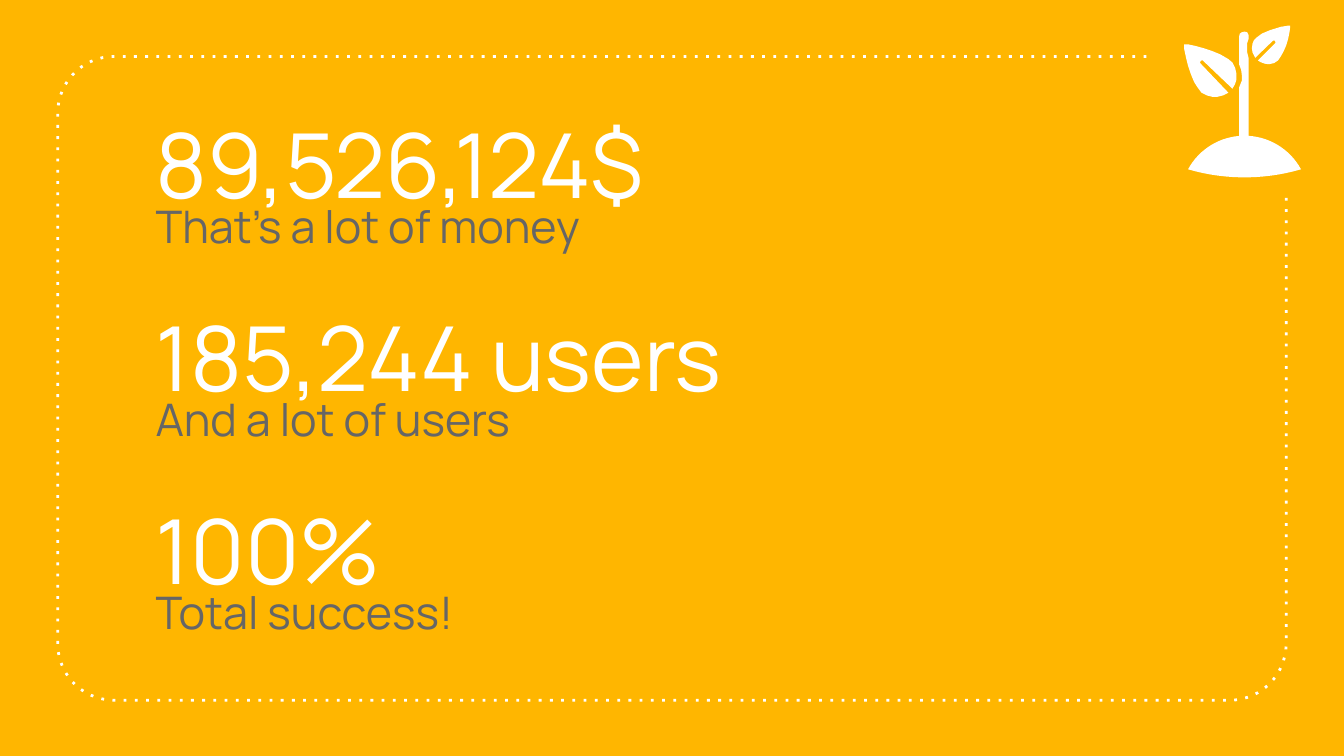
"""Build a slide of three big figures in a dotted frame with a sprout."""
from dataclasses import dataclass
from math import cos, radians, sin

from pptx import Presentation
from pptx.dml.color import RGBColor
from pptx.enum.dml import MSO_LINE
from pptx.oxml.ns import qn
from pptx.shapes.autoshape import Shape
from pptx.slide import Slide
from pptx.util import Inches, Pt

DOT = MSO_LINE.ROUND_DOT
AMBER = RGBColor(0xFF, 0xB6, 0x00)
WHITE = RGBColor(0xFF, 0xFF, 0xFF)
GRAY = RGBColor(0x66, 0x66, 0x66)
FONT = "Manrope"
UNIT = Inches(0.01)
LEFT, TOP, WIDTH = 106, 71, 787
PITCH, DROP = 143.5, 67

Point = tuple[float, float]


@dataclass(frozen=True)
class Fact:
    """A big figure and its caption."""
    value: str
    label: str


@dataclass(frozen=True)
class Arc:
    """Part of a circle, by centre, radius and angles in degrees."""
    x: float
    y: float
    size: float
    start: float
    end: float


FACTS = (
    Fact("89,526,124$", "That’s a lot of money"),
    Fact("185,244 users", "And a lot of users"),
    Fact("100%", "Total success!"),
)
BENDS = (
    Arc(85, 84, 42, 90, 180),
    Arc(85, 479, 42, 180, 270),
    Arc(915, 479, 42, 270, 360),
)
MOUND = (
    Arc(926, 148.8, 47.8, 94.8, 151.5),
    Arc(926, -18, 150, 253.7, 286.3),
    Arc(926, 148.8, 47.8, 28.5, 86.4),
)
STEM = (
    (929, 101), (929, 43), (928, 39), (928, 32), (929, 29), (929, 26),
    (928, 24), (926, 23.5), (924, 24), (922.5, 25), (922, 27), (922, 48),
    (923.5, 52), (924, 56), (924, 60), (922, 65), (922, 101),
)
SMALL = (
    (959, 19), (953, 20), (945, 22.5), (939, 25), (935, 28), (933, 30),
    (932, 32.5), (931.5, 36), (932, 39), (934, 43), (947, 30.5), (948, 30),
    (949, 31), (949, 32), (936, 45), (938, 46.3), (941, 47.4), (944, 47.8),
    (948, 47), (951, 45), (953, 42), (955, 38.5), (957, 34), (958.5, 29),
    (959.5, 24), (960, 20), (960, 19),
)
LARGE = (
    (881, 33), (881, 36), (882.5, 43), (884, 49), (886, 55), (888.5, 61),
    (891, 65), (894, 69), (898, 71), (902, 72), (906, 72), (910, 71),
    (914, 69), (894, 48), (893, 47), (893, 46), (894, 45), (895, 45),
    (896, 46), (917, 66), (919, 62.5), (920, 59), (920, 55), (919, 50.5),
    (917, 46.5), (914, 44), (908, 40.5), (902, 38), (896, 36), (890, 34.3),
    (884, 33),
)


def curve(arc: Arc) -> list[Point]:
    """Return even points along an arc."""
    step = (arc.end - arc.start) / 15
    turns = (radians(arc.start + step * i) for i in range(16))
    return [(arc.x + arc.size * cos(t), arc.y - arc.size * sin(t))
            for t in turns]


def chain(arcs: tuple[Arc, ...]) -> list[Point]:
    """Join the points of several arcs."""
    return [point for arc in arcs for point in curve(arc)]


def trace(slide: Slide, points: list[Point], close: bool) -> Shape:
    """Draw an outline given in grid units."""
    first, *rest = [(x * UNIT, y * UNIT) for x, y in points]
    pen = slide.shapes.build_freeform(*first)
    pen.add_line_segments(rest, close=close)
    shape = pen.convert_to_shape()
    shape.shadow.inherit = False
    return shape


def frame(slide: Slide) -> None:
    """Draw the open dotted frame."""
    shape = trace(slide, [(853, 42), *chain(BENDS), (957, 146)], False)
    shape.fill.background()
    shape.line.color.rgb = WHITE
    shape.line.width = Pt(1.5)
    shape.line.dash_style = DOT
    for dash in shape.element.iter(qn("a:prstDash")):
        dash.set("val", "dot")


def solid(slide: Slide, points: list[Point]) -> None:
    """Draw a white part of the sprout."""
    shape = trace(slide, points, True)
    shape.fill.solid()
    shape.fill.fore_color.rgb = WHITE
    shape.line.fill.background()


def write(slide: Slide, row: float, high: float, text: str,
          size: int, color: RGBColor) -> None:
    """Write one line of text at a grid row."""
    box = slide.shapes.add_textbox(
        *(round(n * UNIT) for n in (LEFT, row, WIDTH, high)))
    body = box.text_frame
    body.word_wrap = True
    body.margin_left = body.margin_right = Inches(0.1)
    body.margin_top = body.margin_bottom = Inches(0.1)
    run = body.paragraphs[0].add_run()
    run.text = text
    run.font.name = FONT
    run.font.size = Pt(size)
    run.font.color.rgb = color


def main() -> None:
    """Build and save the slide."""
    deck = Presentation()
    deck.slide_width = Inches(10)
    deck.slide_height = deck.slide_width * 9 // 16
    slide = deck.slides.add_slide(deck.slide_layouts[6])
    slide.background.fill.solid()
    slide.background.fill.fore_color.rgb = AMBER
    frame(slide)
    for i, fact in enumerate(FACTS):
        row = TOP + i * PITCH
        write(slide, row, 98, fact.value, 48, WHITE)
        write(slide, row + DROP, 51, fact.label, 24, GRAY)
    for part in (SMALL, [*STEM, *chain(MOUND)], LARGE):
        solid(slide, part)
    deck.save("out.pptx")


if __name__ == "__main__":
    main()
